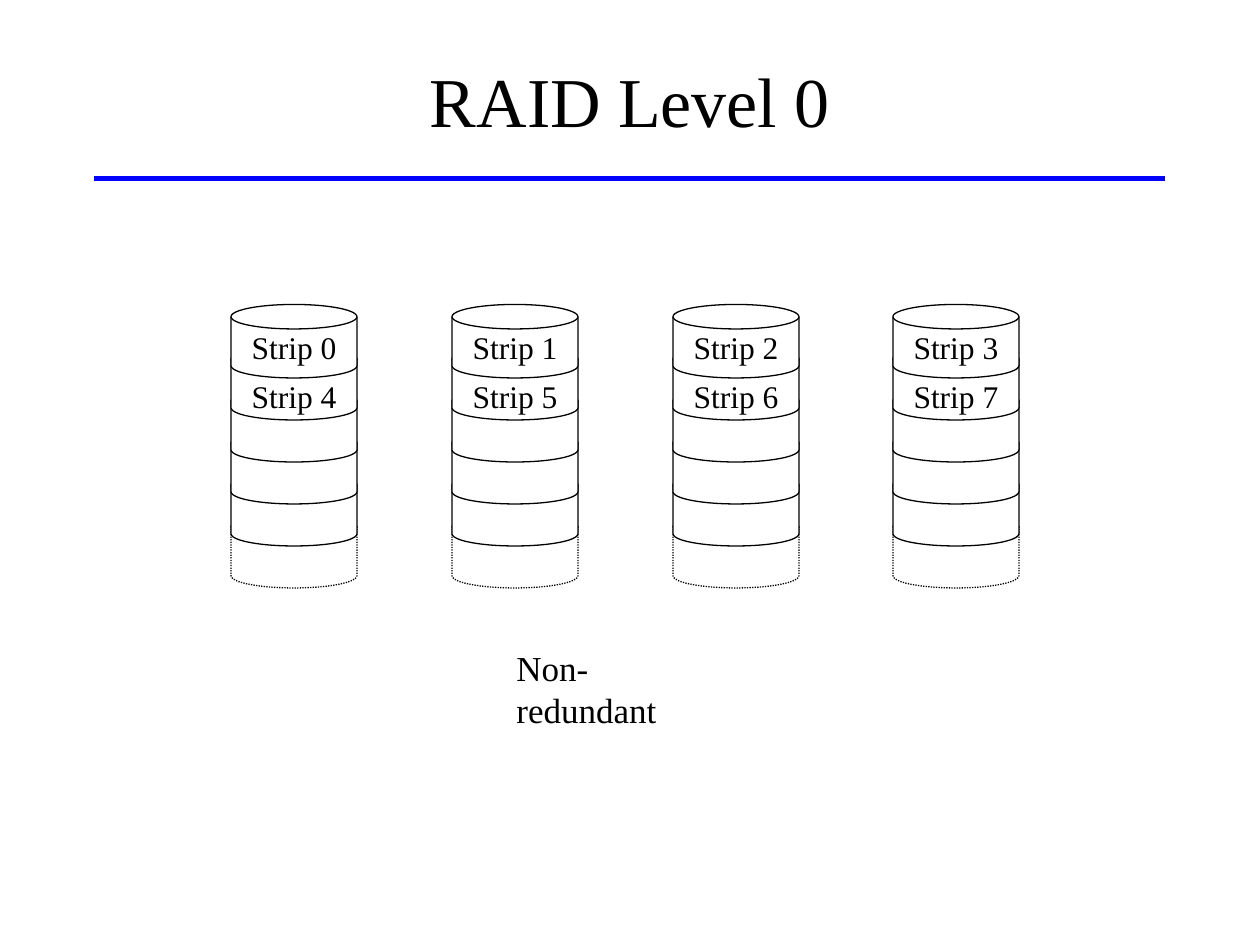
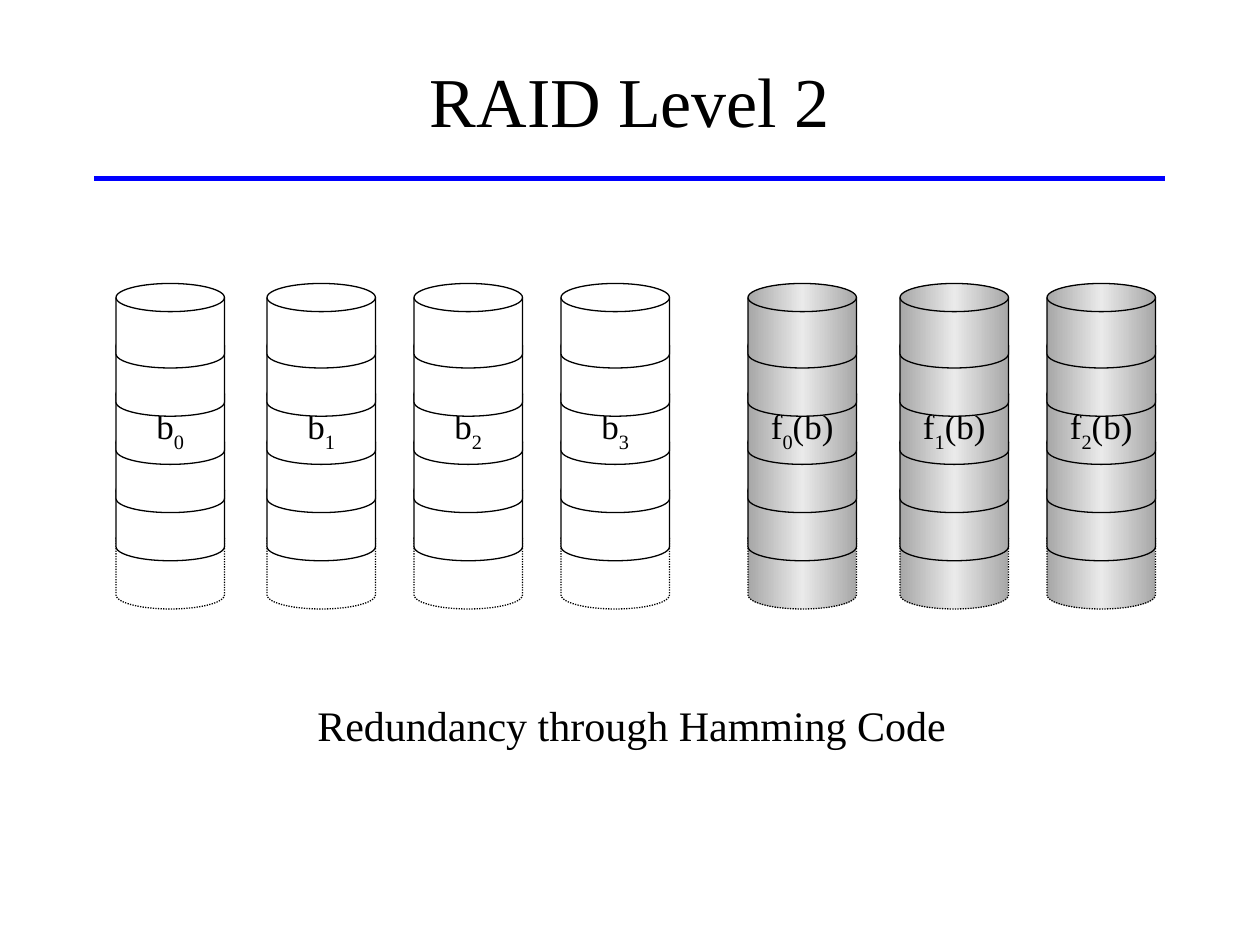
"""Build two slides that show how RAID levels 0 and 2 spread data over disks."""
from lxml.etree import SubElement
from pptx import Presentation
from pptx.dml.color import RGBColor
from pptx.enum.dml import MSO_LINE
from pptx.enum.shapes import MSO_CONNECTOR, MSO_SHAPE
from pptx.enum.text import MSO_ANCHOR, MSO_AUTO_SIZE, PP_ALIGN
from pptx.oxml.ns import qn
from pptx.util import Emu, Pt

PIXEL = 914400 // 126
FONT = "Times New Roman"
COLORS = {"ink": "000000", "paper": "FFFFFF", "rule": "0000FF", "metal": "EAEAEA"}
SHADE = "46275"
LAYERS = 6
MIDDLE, TOP = MSO_ANCHOR.MIDDLE, MSO_ANCHOR.TOP

DATA = [116, 267, 414, 561]
CHECK = [748, 900, 1047]

SLIDES = [
    {
        "title": "RAID Level 0",
        "disk": {"top": 304.5, "step": 42, "size": (126, 73.5), "font": 18},
        "stacks": [
            {"left": left, "metal": False,
             "labels": {0: ([f"Strip {n}"], MIDDLE), 1: ([f"Strip {n + 4}"], TOP)}}
            for n, left in enumerate([231, 452, 673, 893])
        ],
        "note": ("Non-redundant", (504, 640, 237, 54), 20),
    },
    {
        "title": "RAID Level 2",
        "disk": {"top": 283.5, "step": 48.2, "size": (108.5, 84.5), "font": 20},
        "stacks": [
            {"left": left, "metal": False, "labels": {2: (["b", str(n)], MIDDLE)}}
            for n, left in enumerate(DATA)
        ] + [
            {"left": left, "metal": True, "labels": {2: (["f", str(n), "(b)"], MIDDLE)}}
            for n, left in enumerate(CHECK)
        ],
        "note": ("Redundancy through Hamming Code", (305, 693, 654, 63), 24),
    },
]


def px(*values):
    return [Emu(round(v * PIXEL)) for v in values]


def color(name):
    return RGBColor.from_string(COLORS[name])


def write(frame, parts, size, align, anchor, wrap=False):
    """Write parts on one line, with every second part as a subscript."""
    frame.word_wrap = wrap
    frame.vertical_anchor = anchor
    para = frame.paragraphs[0]
    para.alignment = align
    font = para.font
    font.name, font.size = FONT, Pt(size)
    font.color.rgb = color("ink")
    for i, part in enumerate(parts):
        run = para.add_run()
        run.text = part
        if i % 2:
            run._r.get_or_add_rPr().set("baseline", "-30000")


def shine(fill):
    """Fill with a sideways gradient, dark at both edges."""
    fill.gradient()
    fill.gradient_angle = 0
    stops = fill._fill._gradFill.find(qn("a:gsLst"))
    for stop in list(stops):
        stops.remove(stop)
    for place in (0, 50, 100):
        stop = SubElement(stops, qn("a:gs"), pos=str(place * 1000))
        tone = SubElement(stop, qn("a:srgbClr"), val=COLORS["metal"])
        if place != 50:
            SubElement(tone, qn("a:shade"), val=SHADE)


def add_base(slide, title):
    rule = slide.shapes.add_connector(MSO_CONNECTOR.STRAIGHT, *px(94.5, 178.5, 1165.5, 178.5))
    rule.line.color.rgb = color("rule")
    rule.line.width = Pt(3)
    SubElement(rule._element.spPr, qn("a:effectLst"))
    box = slide.shapes.add_textbox(*px(94.5, 21, 1071, 157.5))
    write(box.text_frame, [title], 40, PP_ALIGN.CENTER, MIDDLE, True)


def add_stack(slide, disk, stack):
    group = slide.shapes.add_group_shape()
    for layer in reversed(range(LAYERS)):
        top = disk["top"] + layer * disk["step"]
        drum = group.shapes.add_shape(
            MSO_SHAPE.FLOWCHART_MAGNETIC_DISK, *px(stack["left"], top, *disk["size"]))
        drum.shadow.inherit = False
        if stack["metal"]:
            shine(drum.fill)
        else:
            drum.fill.solid()
            drum.fill.fore_color.rgb = color("paper")
        drum.line.color.rgb = color("ink")
        drum.line.width = Pt(0.75)
        if layer == LAYERS - 1:
            drum.line.dash_style = MSO_LINE.ROUND_DOT
        if layer in stack["labels"]:
            parts, anchor = stack["labels"][layer]
            write(drum.text_frame, parts, disk["font"], PP_ALIGN.CENTER, anchor)


def add_note(slide, text, area, size):
    frame = slide.shapes.add_textbox(*px(*area)).text_frame
    write(frame, [text], size, PP_ALIGN.LEFT, TOP)
    frame.auto_size = MSO_AUTO_SIZE.SHAPE_TO_FIT_TEXT


deck = Presentation()
deck.slide_width, deck.slide_height = px(1260, 945)
for page in SLIDES:
    slide = deck.slides.add_slide(deck.slide_layouts[6])
    add_base(slide, page["title"])
    for stack in page["stacks"]:
        add_stack(slide, page["disk"], stack)
    add_note(slide, *page["note"])
deck.save("out.pptx")
